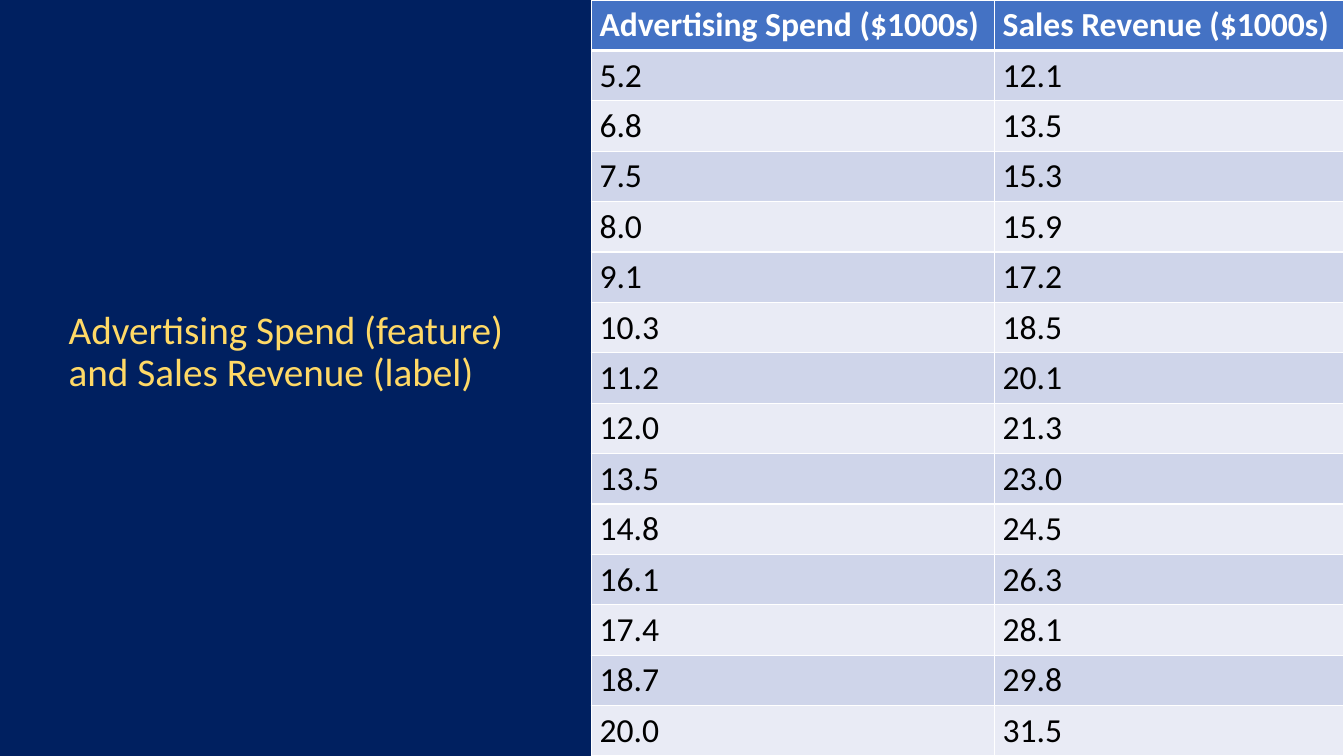
from lxml import etree
from pptx import Presentation
from pptx.dml.color import RGBColor
from pptx.enum.text import MSO_ANCHOR
from pptx.oxml.ns import qn
from pptx.util import Pt

PX = 9525
MIDDLE = MSO_ANCHOR.MIDDLE
FONT = "Calibri"
COLORS = {
    "navy": "002060",
    "gold": "FFD966",
    "header": "4472C4",
    "band_dark": "CFD5EA",
    "band_light": "E9EBF5",
    "white": "FFFFFF",
    "black": "000000",
}
HEADERS = ("Advertising Spend ($1000s)", "Sales Revenue ($1000s)")
DATA = [
    (5.2, 12.1), (6.8, 13.5), (7.5, 15.3), (8.0, 15.9), (9.1, 17.2),
    (10.3, 18.5), (11.2, 20.1), (12.0, 21.3), (13.5, 23.0), (14.8, 24.5),
    (16.1, 26.3), (17.4, 28.1), (18.7, 29.8), (20.0, 31.5),
]
COL_WIDTHS = (384, 333)
ROW_HEIGHT = 48
CELL_FORMAT = {
    "margin_left": 8 * PX,
    "margin_right": 8 * PX,
    "margin_top": 4 * PX,
    "margin_bottom": 4 * PX,
    "vertical_anchor": MIDDLE,
}


def add_text(p, text, size, color, bold=False):
    r = p.add_run()
    r.text = text
    for name, value in {"name": FONT, "size": Pt(size), "bold": bold}.items():
        setattr(r.font, name, value)
    r.font.color.rgb = RGBColor.from_string(COLORS[color])


def add_border(cell, side, width):
    ln = etree.SubElement(cell._tc.get_or_add_tcPr(), qn(f"a:{side}"), w=str(Pt(width)))
    fill = etree.SubElement(ln, qn("a:solidFill"))
    etree.SubElement(fill, qn("a:srgbClr"), val=COLORS["white"])


prs = Presentation()
prs.slide_width = 1280 * PX
prs.slide_height = 720 * PX
s = prs.slides.add_slide(prs.slide_layouts[6])
s.background.fill.solid()
s.background.fill.fore_color.rgb = RGBColor.from_string(COLORS["navy"])

rows = [HEADERS] + [[f"{value:.1f}" for value in pair] for pair in DATA]
table = s.shapes.add_table(
    len(rows), len(HEADERS), 563 * PX, 0,
    sum(COL_WIDTHS) * PX, len(rows) * ROW_HEIGHT * PX,
).table
for column, width in zip(table.columns, COL_WIDTHS):
    column.width = width * PX

for i, row in enumerate(rows):
    table.rows[i].height = ROW_HEIGHT * PX
    is_header = i == 0
    band = "header" if is_header else ("band_light", "band_dark")[i % 2]
    borders = {"lnL": 1, "lnR": 1, "lnT": 3 if i == 1 else 1, "lnB": 3 if is_header else 1}
    for j, text in enumerate(row):
        cell = table.cell(i, j)
        for name, value in CELL_FORMAT.items():
            setattr(cell, name, value)
        for side, width in borders.items():
            add_border(cell, side, width)
        cell.fill.solid()
        cell.fill.fore_color.rgb = RGBColor.from_string(COLORS[band])
        add_text(cell.text_frame.paragraphs[0], text, 24,
                 "white" if is_header else "black", is_header)

tf = s.shapes.add_textbox(56 * PX, 272 * PX, 488 * PX, 128 * PX).text_frame
tf.word_wrap = True
tf.vertical_anchor = MIDDLE
for i, line in enumerate(("Advertising Spend (feature)", "and Sales Revenue (label)")):
    p = tf.add_paragraph() if i else tf.paragraphs[0]
    p.line_spacing = 0.9
    add_text(p, line, 28, "gold")

prs.save("out.pptx")
